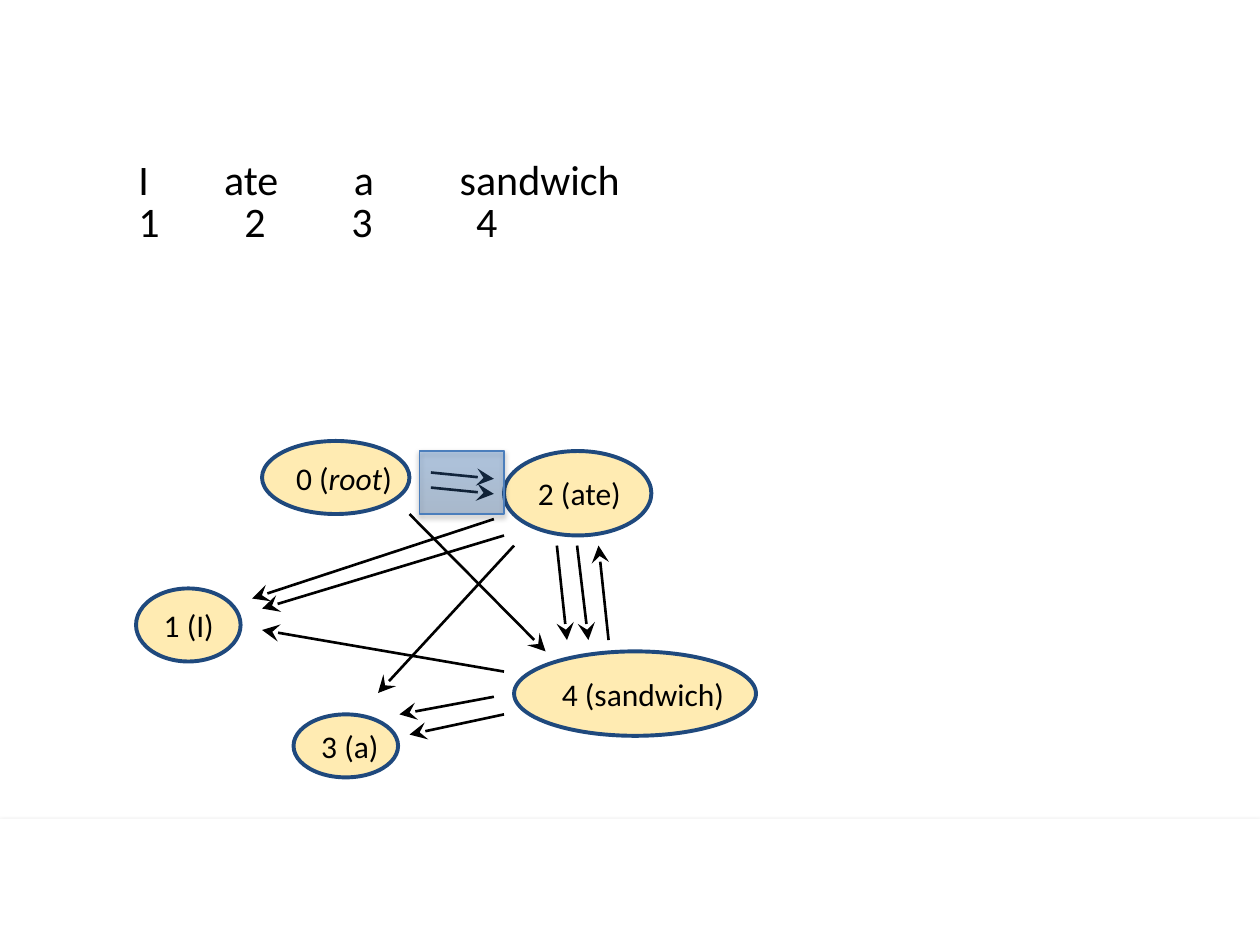
from lxml import etree
from pptx import Presentation
from pptx.dml.color import RGBColor
from pptx.enum.shapes import MSO_CONNECTOR, MSO_SHAPE
from pptx.enum.text import MSO_ANCHOR, MSO_AUTO_SIZE, PP_ALIGN
from pptx.oxml.ns import qn
from pptx.util import Inches, Pt

LINE = MSO_CONNECTOR.STRAIGHT
OVAL, RECTANGLE = MSO_SHAPE.OVAL, MSO_SHAPE.RECTANGLE
MIDDLE, LEFT = MSO_ANCHOR.MIDDLE, PP_ALIGN.LEFT
FIT_SHAPE = MSO_AUTO_SIZE.SHAPE_TO_FIT_TEXT

COLORS = {
    "black": "000000", "white": "FFFFFF", "node": "FFC000", "outline": "1F497D",
    "mark_edge": "4B7EBC", "mark_dark": "2F5F99", "mark_mid": "3D7CC7", "mark_light": "3A7CCB",
}

# Left, top, width, height, spans of (text, italic)
NODES = [
    (1.08, 4.67, 0.83, 0.58, [("1 (I)", False)]),
    (4, 3.58, 1.17, 0.67, [("2 (ate)", False)]),
    (2.33, 5.67, 0.83, 0.5, [("3 (a)", False)]),
    (4.08, 5.17, 1.92, 0.67, [("4 (sandwich)", False)]),
    (2.08, 3.5, 1.17, 0.58, [("0 (", False), ("root", True), (")", False)]),
]

# Tip x, tip y, tail x, tail y
ARROWS = [
    (3.25, 5.83, 4, 5.67), (2.08, 5, 4, 5.33), (4.33, 5.17, 3.25, 4.08),
    (4.75, 4.33, 4.83, 5.08), (3.92, 3.92, 3.42, 3.87), (2, 4.75, 3.92, 4.12),
    (3, 5.5, 4.08, 4.33), (4.5, 5.08, 4.42, 4.33), (3.92, 3.8, 3.42, 3.75),
    (4.67, 5.08, 4.58, 4.33), (2.08, 4.83, 4, 4.25), (3.17, 5.67, 3.92, 5.53),
]

# Top, tab stops, words
SENTENCE_ROWS = [
    (1.17, (0.68, 1.71, 2.55), ("I", "ate", "a", "sandwich")),
    (1.5, (0.84, 1.69, 2.68), ("1", "2", "3", "4")),
]


def color(name):
    return RGBColor.from_string(COLORS[name])


def add_child(parent, tag, **attributes):
    child = etree.SubElement(parent, qn(tag))
    for name, value in attributes.items():
        child.set(name, str(value))
    return child


def set_alpha(color_element, percent):
    add_child(color_element, "a:alpha", val=percent * 1000)


def format_font(font, size, italic=False):
    values = {"name": "Calibri", "size": Pt(size), "italic": italic}
    for name, value in values.items():
        setattr(font, name, value)
    font.color.rgb = color("black")


def add_shape(slide, kind, bounds, line_color=None, line_width=0):
    shape = slide.shapes.add_shape(kind, *map(Inches, bounds))
    shape.shadow.inherit = False
    if line_color:
        shape.line.color.rgb = color(line_color)
        shape.line.width = Pt(line_width)
    else:
        shape.line.fill.background()
    return shape


def add_shadow(shape):
    effects = shape._element.spPr.find(qn("a:effectLst"))
    shadow = add_child(effects, "a:outerShdw", blurRad=Pt(3.1), dist=Pt(1.8),
                       dir=90 * 60000, rotWithShape=0)
    set_alpha(add_child(shadow, "a:srgbClr", val=COLORS["black"]), 35)


def add_footer_band(slide):
    band = add_shape(slide, RECTANGLE, (0, 6.5, 10, 1))
    band.fill.solid()
    band.fill.fore_color.rgb = color("white")
    add_shadow(band)


def add_node(slide, bounds, spans):
    node = add_shape(slide, OVAL, bounds, "outline", 2.25)
    node.fill.solid()
    node.fill.fore_color.rgb = color("node")
    set_alpha(node._element.spPr.find(qn("a:solidFill"))[0], 30)
    frame = node.text_frame
    frame.word_wrap = False
    frame.vertical_anchor = MIDDLE
    para = frame.paragraphs[0]
    para.alignment = LEFT
    for text, italic in spans:
        span = para.add_run()
        span.text = text
        format_font(span.font, 18, italic)


def add_arrow(slide, ends):
    """Draw a line whose arrowhead sits at its first point."""
    arrow = slide.shapes.add_connector(LINE, *map(Inches, ends))
    arrow.line.color.rgb = color("black")
    arrow.line.width = Pt(1.5)
    add_child(arrow.line._get_or_add_ln(), "a:headEnd", type="stealth", w="lg", len="lg")
    add_child(arrow._element.spPr, "a:effectLst")


def add_sentence_row(slide, top, stops, words):
    box = slide.shapes.add_textbox(*map(Inches, (1, top, 4.58, 0.5)))
    frame = box.text_frame
    frame.word_wrap = True
    frame.auto_size = FIT_SHAPE
    para = frame.paragraphs[0]
    tabs = add_child(para._p.get_or_add_pPr(), "a:tabLst")
    for stop in stops:
        add_child(tabs, "a:tab", pos=Inches(stop), algn="l")
    span = para.add_run()
    span.text = "\t".join(words)
    format_font(span.font, 24)


def add_highlight(slide):
    """Mark the root arrows with a see-through gradient."""
    mark = add_shape(slide, RECTANGLE, (3.33, 3.58, 0.67, 0.5), "mark_edge", 1)
    mark.fill.gradient()
    mark.fill.gradient_angle = 90
    stops = mark._element.spPr.find(qn("a:gradFill")).find(qn("a:gsLst"))
    for old_stop in list(stops):
        stops.remove(old_stop)
    for position, name in ((0, "mark_dark"), (80, "mark_mid"), (100, "mark_light")):
        stop = add_child(stops, "a:gs", pos=position * 1000)
        set_alpha(add_child(stop, "a:srgbClr", val=COLORS[name]), 32)
    add_shadow(mark)


def main():
    deck = Presentation()
    deck.slide_width, deck.slide_height = Inches(10), Inches(7.5)
    slide = deck.slides.add_slide(deck.slide_layouts[6])
    add_footer_band(slide)
    for *bounds, spans in NODES:
        add_node(slide, bounds, spans)
    for row in SENTENCE_ROWS:
        add_sentence_row(slide, *row)
    for ends in ARROWS:
        add_arrow(slide, ends)
    add_highlight(slide)
    deck.save("out.pptx")


if __name__ == "__main__":
    main()
